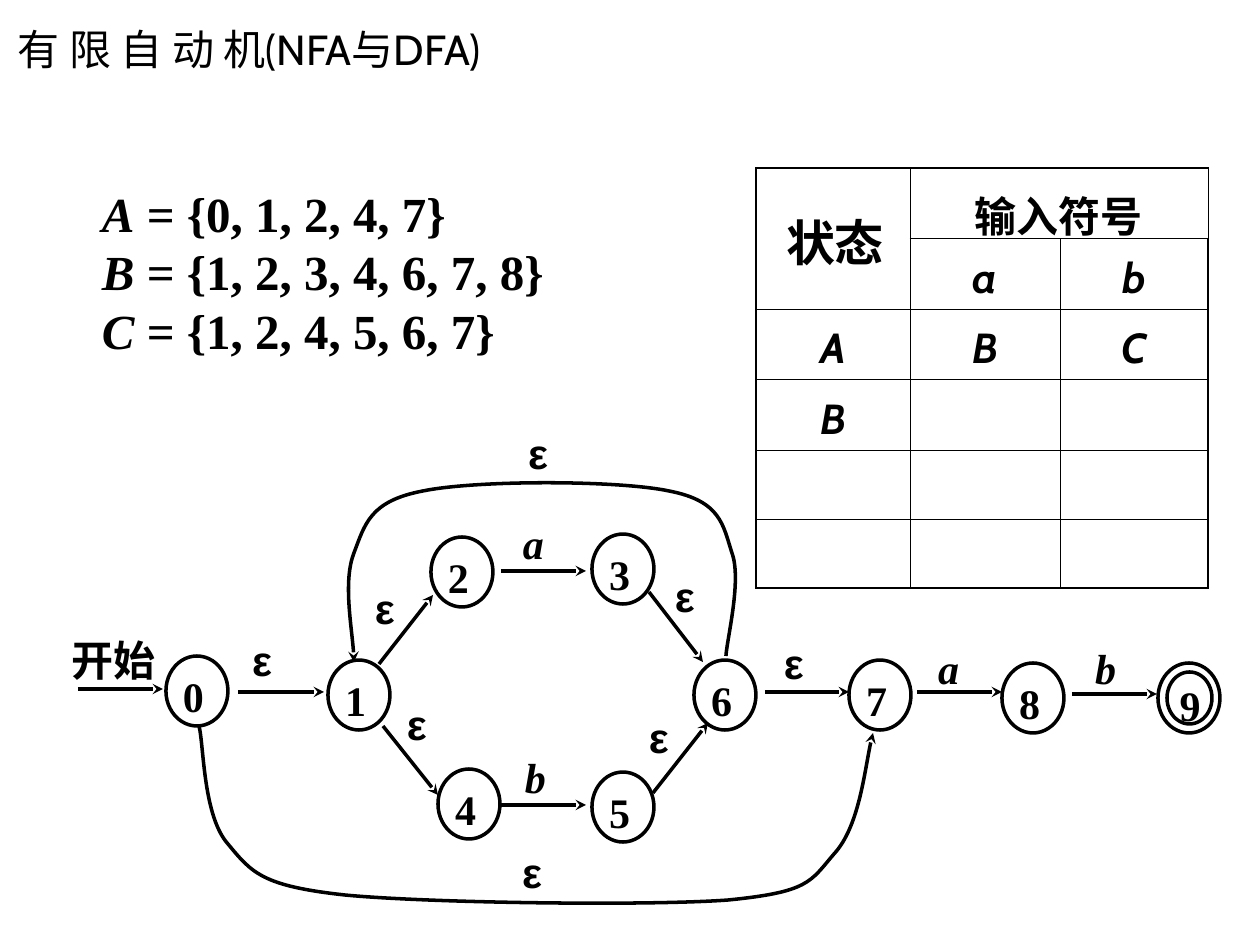
"""Build the slide on NFA to DFA conversion: state sets, transition table and automaton."""
from lxml import etree
from pptx import Presentation, util as u
from pptx.dml.color import RGBColor
from pptx.enum import shapes, text
from pptx.oxml.ns import qn

PX = 914400 / 126
INK = "000000"
ROMAN = "Times New Roman"
px = lambda *nums: [u.Emu(round(n * PX)) for n in nums]
hue = RGBColor.from_string


def write(shape, paras, font=ROMAN, size=24, bold=True, pad=(8, 4, 8, 4), mid=False, wrap=True):
    frame = shape.text_frame
    frame.word_wrap = wrap
    frame.margin_left, frame.margin_top, frame.margin_right, frame.margin_bottom = px(*pad)
    frame.vertical_anchor = text.MSO_ANCHOR.MIDDLE if mid else text.MSO_ANCHOR.TOP
    for i, runs in enumerate(paras):
        para = frame.paragraphs[0] if i == 0 else frame.add_paragraph()
        para.alignment = text.PP_ALIGN.LEFT
        for word, slant in runs:
            run = para.add_run()
            run.text = word
            run.font.name, run.font.size = font, u.Pt(size)
            run.font.bold, run.font.italic = bold, slant
            run.font.color.rgb = hue(INK)


def stroke(shape, arrow=True):
    shape.line.color.rgb = hue(INK)
    shape.line.width = u.Pt(2)
    if arrow:
        etree.SubElement(shape.line._get_or_add_ln(), qn("a:tailEnd"), type="stealth")


deck = Presentation()
deck.slide_width, deck.slide_height = px(1260, 945)
slide = deck.slides.add_slide(deck.slide_layouts[6])
draw = slide.shapes

nodes = [(166, 656, "0"), (328, 660, "1"), (431, 537, "2"), (592, 534, "3"), (438, 769, "4"),
         (592, 772, "5"), (694, 660, "6"), (849, 660, "7"), (1002, 663, "8"), (1158, 663, "")]
rings = [(x, y, 62, 70, name, (8, 4, 3, 6)) for x, y, name in nodes]
rings.append((1167, 672, 45, 52, "9", (6, 0, 1, 0)))
for x, y, w, h, name, pad in rings:
    ring = draw.add_shape(shapes.MSO_SHAPE.OVAL, *px(x, y, w, h))
    ring.shadow.inherit = False
    ring.fill.background()
    stroke(ring, arrow=False)
    if name:
        write(ring, [[(name, False)]], pad=pad)

edges = [(78, 689, 163, 689), (238, 692, 324, 692), (765, 692, 849, 692), (917, 692, 1002, 692),
         (1072, 694, 1157, 694), (501, 571, 586, 571), (501, 805, 586, 805), (379, 664, 433, 595),
         (383, 726, 438, 795), (649, 592, 703, 662), (653, 793, 708, 723)]
for edge in edges:
    line = draw.add_connector(shapes.MSO_CONNECTOR.STRAIGHT, *px(*edge))
    stroke(line)
    etree.SubElement(line._element.spPr, qn("a:effectLst"))

curves = [
    [(199, 726), (204, 746), (203, 816), (228, 844), (252, 873), (262, 886), (345, 895), (428, 903),
     (646, 906), (728, 900), (809, 892), (810, 882), (834, 854), (859, 827), (866, 758), (873, 733)],
    [(726, 656), (727, 639), (742, 580), (732, 553), (723, 525), (721, 501), (669, 491), (617, 480),
     (476, 480), (423, 491), (370, 501), (365, 524), (354, 553), (343, 581), (354, 639), (354, 662)],
]
for start, *rest in curves:
    pen = draw.build_freeform(*start, scale=PX)
    pen.add_line_segments(rest, close=False)
    curve = pen.convert_to_shape()
    curve.shadow.inherit = False
    curve.fill.background()
    stroke(curve)
    route = next(curve._element.iter(qn("a:path")))
    steps = route.findall(qn("a:lnTo"))
    for i in range(0, len(steps), 3):
        bend = etree.SubElement(route, qn("a:cubicBezTo"))
        for step in steps[i:i + 3]:
            bend.append(step[0])
            route.remove(step)

labels = {
    "ε": [(244, 630), (367, 578), (399, 694), (667, 566), (641, 707), (514, 842), (520, 423), (776, 633)],
    "a": [(515, 513), (930, 638)],
    "b": [(517, 747), (1087, 638)],
}
for name, spots in labels.items():
    greek = name == "ε"
    for x, y in spots:
        box = draw.add_textbox(*px(x, y, 54, 57))
        write(box, [[(name, not greek)]], font="Arial" if greek else ROMAN)
write(draw.add_textbox(*px(64, 630, 100, 67)), [[("开始", False)]])

cells = [["", "输入符号", ""], ["", "a", "b"], ["A", "B", "C"], ["B", "", ""], ["", "", ""], ["", "", ""]]
grid = draw.add_table(6, 3, *px(756, 168, 452, 410)).table
grid.first_row = grid.horz_banding = False
for col, w in zip(grid.columns, px(154, 150, 148)):
    col.width = w
for row, h in zip(grid.rows, px(67, 67, 69, 69, 69, 69)):
    row.height = h
for r, row in enumerate(cells):
    for c, word in enumerate(row):
        cell = grid.cell(r, c)
        if word:
            write(cell, [[(word, r > 0)]], font="Cabin", pad=(8, 6, 8, 6))
            cell.text_frame.paragraphs[0].alignment = text.PP_ALIGN.CENTER
            cell.text_frame.paragraphs[0].line_spacing = 1.15
        prop = cell._tc.get_or_add_tcPr()
        for side, outer in zip("LRTB", (c == 0, c == 2, r == 0, r == 5)):
            rule = etree.SubElement(prop, qn("a:ln" + side), w=str(u.Pt(1.08 if outer else 0.45)))
            fill = etree.SubElement(rule, qn("a:solidFill"))
            etree.SubElement(fill, qn("a:srgbClr"), val=INK)
        cell.fill.background()
grid.cell(0, 0).merge(grid.cell(1, 0))
grid.cell(0, 1).merge(grid.cell(0, 2))

state = draw.add_textbox(*px(777, 189, 116, 105))
write(state, [[("状态", False)]], size=28, mid=True, wrap=False)
state.text_frame.paragraphs[0].alignment = text.PP_ALIGN.CENTER

sets = [("A", "0, 1, 2, 4, 7"), ("B", "1, 2, 3, 4, 6, 7, 8"), ("C", "1, 2, 4, 5, 6, 7")]
list_box = draw.add_textbox(*px(94, 179, 504, 234))
write(list_box, [[(name, True), (" = {" + items + "}", False)] for name, items in sets], size=28)

title = draw.add_textbox(*px(5, 6, 517, 86))
write(title, [[("有 限 自 动 机(NFA与DFA)", False)]], font="Cabin", bold=False, pad=(13, 6, 13, 6), mid=True)
for box in (state, list_box, title):
    box.fill.solid()
    box.fill.fore_color.rgb = hue("FFFFFF")

deck.save("out.pptx")
